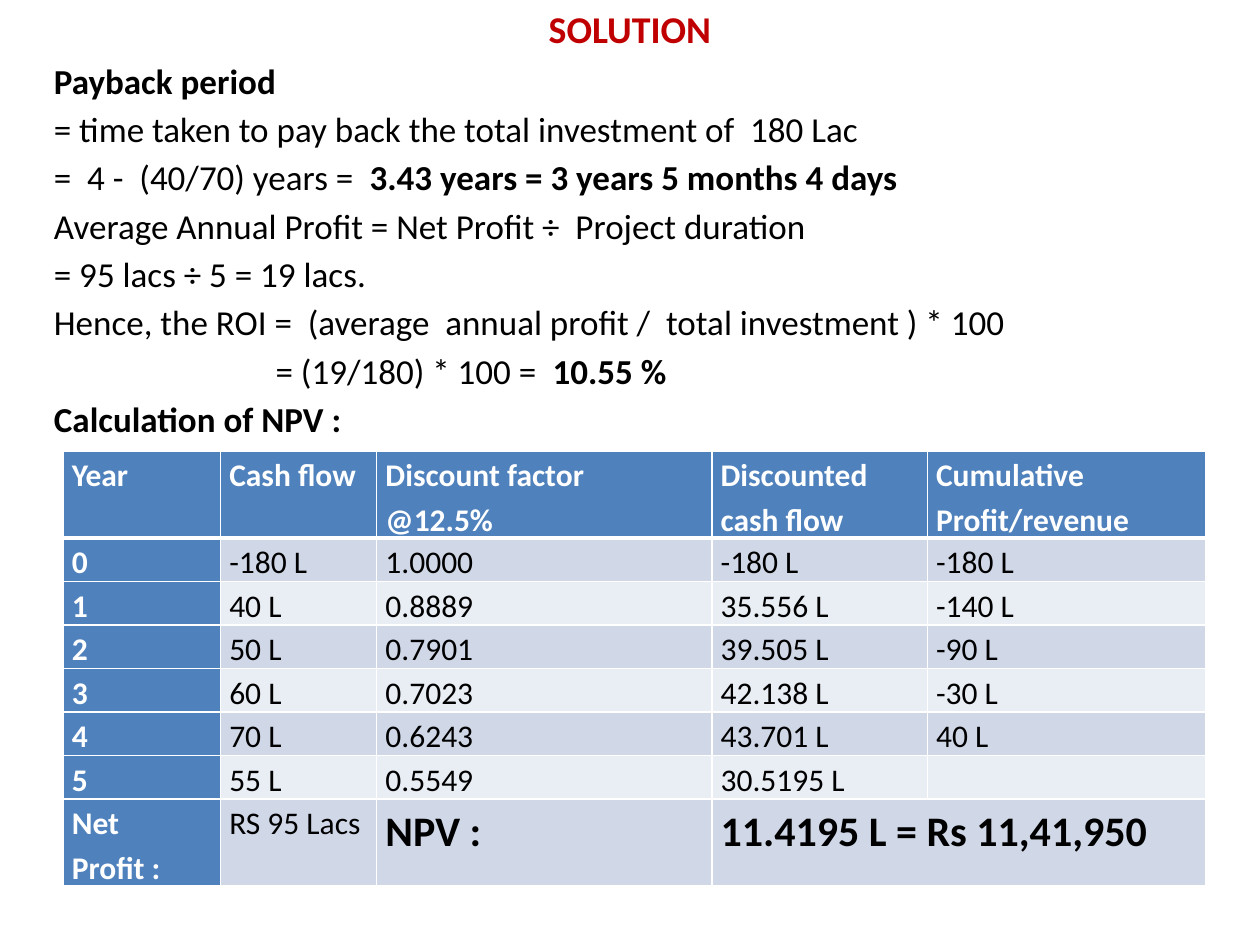
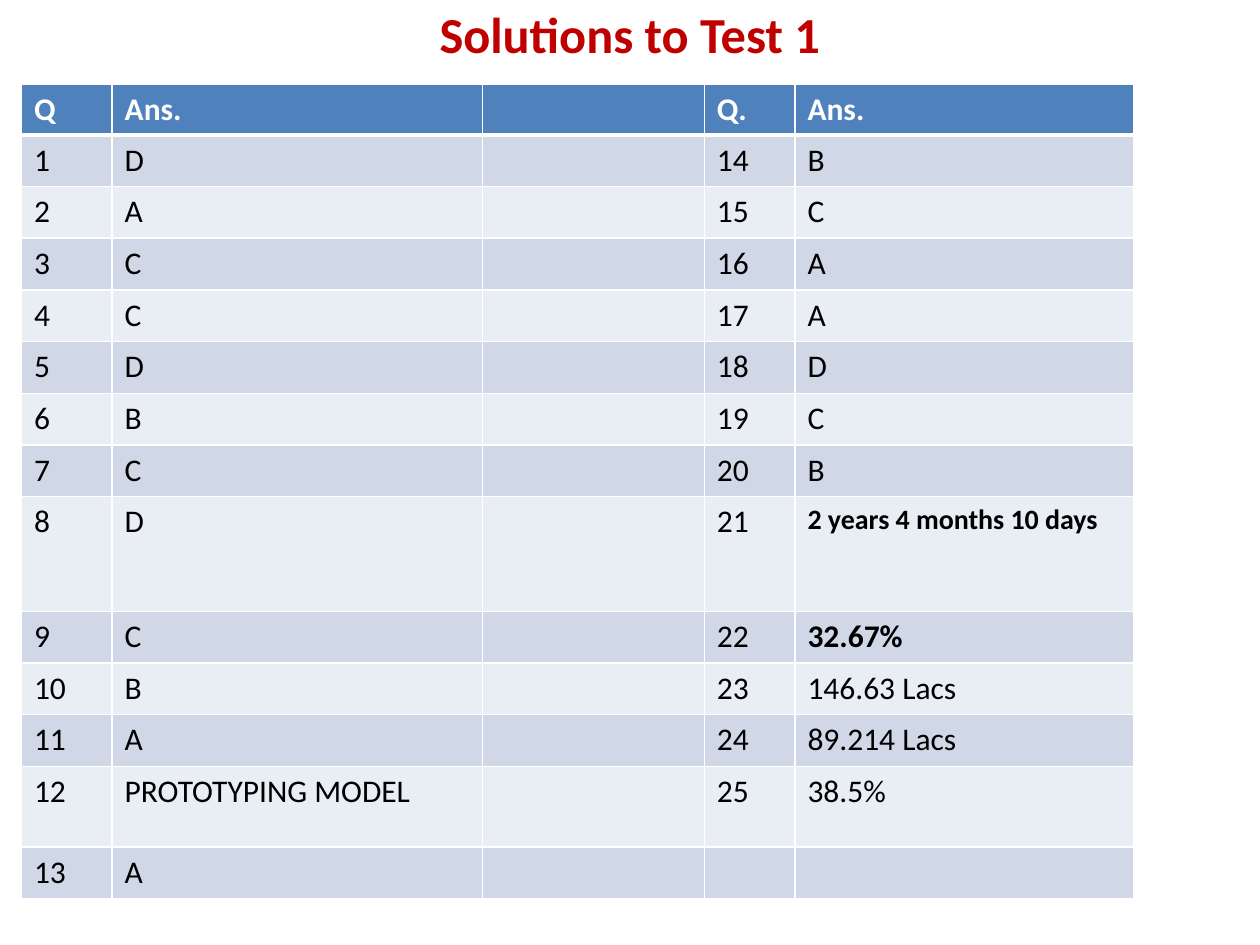
import pptx
import pptx.util
import pptx.dml.color
import pptx.enum.text
import pptx.oxml
import pptx.oxml.ns

RGBColor = pptx.dml.color.RGBColor
Pt = pptx.util.Pt

RED = RGBColor(0xC0, 0x00, 0x00)
BLACK = RGBColor(0x00, 0x00, 0x00)
WHITE = RGBColor(0xFF, 0xFF, 0xFF)
HEADER_BLUE = RGBColor(0x4F, 0x81, 0xBD)
BANDS = (RGBColor(0xD0, 0xD8, 0xE8), RGBColor(0xE9, 0xED, 0xF4))

FONT = "Calibri"
SLIDE_W = pptx.util.Inches(10)
SLIDE_H = pptx.util.Inches(7.5)

# Each line is a list of (text, bold) runs
PAYBACK_LINES = [
    [("Payback period", True)],
    [("= time taken to pay back the total investment of  180 Lac", False)],
    [("=  4 -  (40/70) years =  ", False),
     ("3.43 years = 3 years 5 months 4 days", True)],
    [("Average Annual Profit = Net Profit ÷  Project duration", False)],
    [("= 95 lacs ÷ 5 = 19 lacs.", False)],
    [("Hence, the ROI =  (average  annual profit /  total investment ) * 100", False)],
    [("= (19/180) * 100 =  ", False), ("10.55 %", True)],
    [("Calculation of NPV :", True)],
]
ROI_RESULT_LINE = 6

NPV_ROWS = [
    ["Year", "Cash flow", "Discount factor\n@12.5%", "Discounted\ncash flow",
     "Cumulative\nProfit/revenue"],
    ["0", "-180 L", "1.0000", "-180 L", "-180 L"],
    ["1", "40 L", "0.8889", "35.556 L", "-140 L"],
    ["2", "50 L", "0.7901", "39.505 L", "-90 L"],
    ["3", "60 L", "0.7023", "42.138 L", "-30 L"],
    ["4", "70 L", "0.6243", "43.701 L", "40 L"],
    ["5", "55 L", "0.5549", "30.5195 L", ""],
    ["Net Profit :", "RS 95 Lacs", "NPV :", "11.4195 L = Rs 11,41,950", ""],
]

ANSWERS_1_TO_13 = [*"DACCDBCDCBA", "PROTOTYPING MODEL", "A"]
ANSWERS_14_TO_25 = [*"BCAADCB", "2 years 4 months 10 days", "32.67%",
                    "146.63 Lacs", "89.214 Lacs", "38.5%"]


def across(percent):
    """Length as a percentage of the slide's width."""
    return int(SLIDE_W * percent / 100)


def down(percent):
    """Length as a percentage of the slide's height."""
    return int(SLIDE_H * percent / 100)


def style_run(r, size, color, bold):
    r.font.name = FONT
    r.font.size = Pt(size)
    r.font.color.rgb = color
    r.font.bold = bold


def add_text_frame(slide, left, top, width, height):
    box = slide.shapes.add_textbox(across(left), down(top), across(width), down(height))
    box.text_frame.word_wrap = True
    return box.text_frame


def add_title(slide, text, size, top, height):
    tf = add_text_frame(slide, 5, top, 90, height)
    tf.vertical_anchor = pptx.enum.text.MSO_ANCHOR.MIDDLE
    p = tf.paragraphs[0]
    p.text = text
    p.alignment = pptx.enum.text.PP_ALIGN.CENTER
    style_run(p.runs[0], size, RED, True)


def add_payback_text(slide):
    tf = add_text_frame(slide, 3.3, 5.6, 96.7, 80.4)
    for i, line in enumerate(PAYBACK_LINES):
        p = tf.paragraphs[0] if i == 0 else tf.add_paragraph()
        p.space_before = Pt(3.6)
        if i == ROI_RESULT_LINE:
            p._p.get_or_add_pPr().set("marL", str(across(17.6)))
        for text, bold in line:
            r = p.add_run()
            r.text = text
            style_run(r, 20, BLACK, bold)


def set_borders(cell, widths):
    """White borders; widths maps L, R, T and B to points."""
    tcPr = cell._tc.get_or_add_tcPr()
    for side in "LRTB":
        tcPr.append(pptx.oxml.parse_xml(
            f'<a:ln{side} {pptx.oxml.ns.nsdecls("a")} w="{Pt(widths[side])}">'
            f'<a:solidFill><a:srgbClr val="{WHITE}"/></a:solidFill></a:ln{side}>'))


def style_cell(cell, text, fill, color, size, bold):
    cell.text_frame.text = text
    for p in cell.text_frame.paragraphs:
        for r in p.runs:
            style_run(r, size, color, bold)
    cell.fill.solid()
    cell.fill.fore_color.rgb = fill


def add_banded_table(slide, left, top, cols, heights, rows, special, first_col=False):
    """special maps (row, column) to the (size, bold) of a body cell."""
    frame = slide.shapes.add_table(len(rows), len(cols), across(left), down(top),
                                   across(sum(cols)), down(sum(heights)))
    table = frame.table
    for column, width in zip(table.columns, cols):
        column.width = across(width)
    for row, height in zip(table.rows, heights):
        row.height = down(height)
    for i, texts in enumerate(rows):
        for j, text in enumerate(texts):
            cell = table.cell(i, j)
            set_borders(cell, {"L": 1, "R": 1, "T": 3 if i == 1 else 1,
                               "B": 3 if i == 0 else 1})
            if i == 0 or (first_col and j == 0):
                style_cell(cell, text, HEADER_BLUE, WHITE, 18, True)
            else:
                size, bold = special.get((i, j), (18, False))
                style_cell(cell, text, BANDS[(i - 1) % 2], BLACK, size, bold)
    return table


def add_npv_table(slide):
    last = len(NPV_ROWS) - 1
    table = add_banded_table(
        slide, 5, 47.73, [12.5, 12.4, 26.6, 17.1, 22.1],
        [8.8] + [4.27] * 6 + [8.13], NPV_ROWS,
        {(last, 2): (24, True), (last, 3): (24, True)}, first_col=True)
    for i in range(len(NPV_ROWS)):
        for cell in table.rows[i].cells:
            cell.margin_left = cell.margin_right = across(0.7)
            cell.margin_top = cell.margin_bottom = 0
            for p in cell.text_frame.paragraphs:
                p.line_spacing = 1.15
                if i == last:
                    p.space_before = Pt(10)
    table.cell(last, 3).merge(table.cell(last, 4))


def add_answer_table(slide):
    rows = [["Q", "Ans.", "", "Q.", "Ans."]]
    for i, answer in enumerate(ANSWERS_1_TO_13):
        right = ["", ""]
        if i < len(ANSWERS_14_TO_25):
            right = [str(i + 14), ANSWERS_14_TO_25[i]]
        rows.append([str(i + 1), answer, "", *right])
    heights = [5.07] + [5.47] * 7 + [12.13] + [5.47] * 3 + [8.53, 5.47]
    add_banded_table(slide, 1.7, 8.93, [7.2, 29.4, 17.6, 7.2, 26.9], heights, rows,
                     {(8, 4): (16, True), (9, 4): (18, True)})


def main():
    prs = pptx.Presentation()
    prs.slide_width, prs.slide_height = SLIDE_W, SLIDE_H
    blank = prs.slide_layouts[6]

    # Worked solution with the NPV table
    s = prs.slides.add_slide(blank)
    add_title(s, "SOLUTION", 21.6, 0, 6)
    add_payback_text(s)
    add_npv_table(s)

    # Answer key
    s = prs.slides.add_slide(blank)
    add_title(s, "Solutions to Test 1", 28.8, 0.4, 6.27)
    add_answer_table(s)

    prs.save("out.pptx")


if __name__ == "__main__":
    main()
